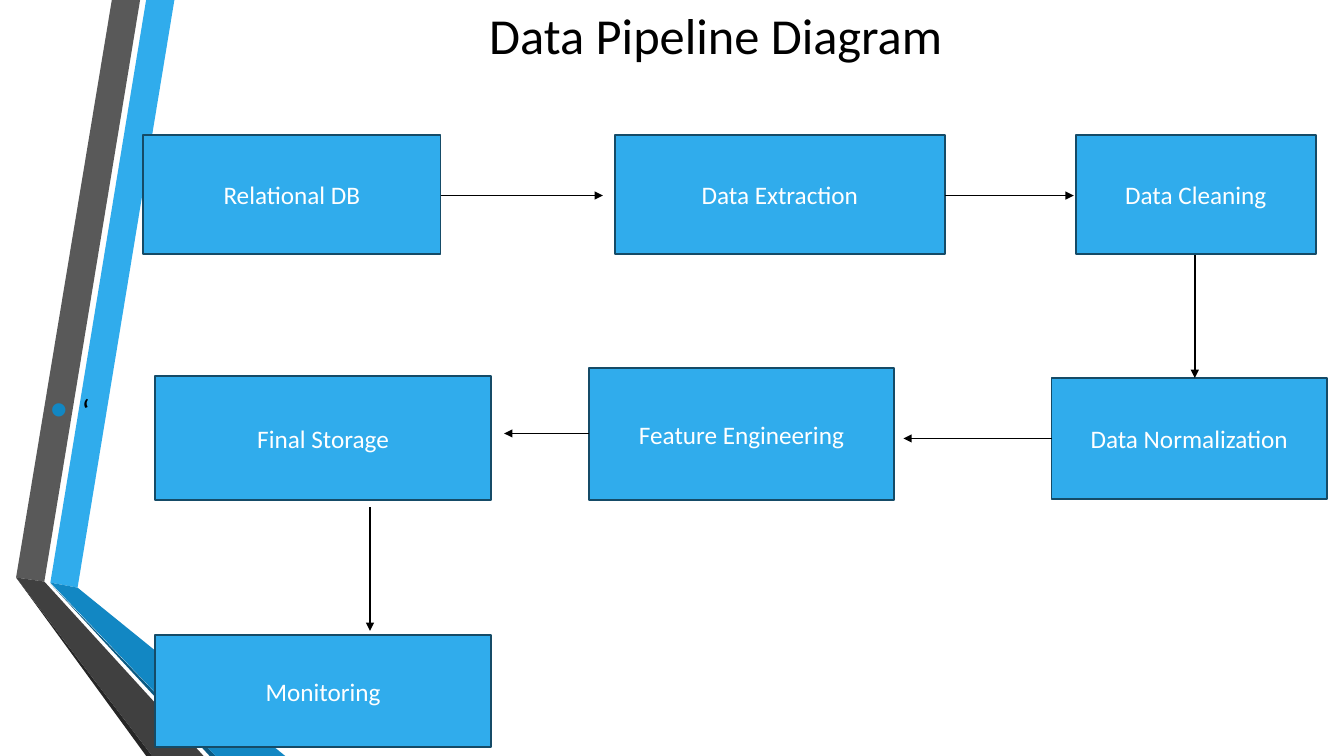
from dataclasses import dataclass

import lxml.etree
import pptx
import pptx.dml.color
import pptx.enum.shapes
import pptx.enum.text
import pptx.oxml.ns
import pptx.presentation
import pptx.shapes.base
import pptx.slide
import pptx.text.text
import pptx.util

Inches = pptx.util.Inches
FONT = "Calibri"
COLORS = {
    "blue": "30ACEC",
    "mid_blue": "1287C3",
    "deep_blue": "0C5A82",
    "box_border": "154B67",
    "gray": "595959",
    "dark_gray": "404040",
    "darkest_gray": "262626",
    "black": "000000",
    "white": "FFFFFF",
}


@dataclass(frozen=True)
class Band:
    color: str
    points: tuple[tuple[float, float], ...]


@dataclass(frozen=True)
class Stage:
    label: str
    left: float
    top: float
    width: float
    height: float


@dataclass(frozen=True)
class Arrow:
    start: tuple[float, float]
    end: tuple[float, float]


BANDS = (
    Band("blue", ((0.5, 5.78), (0.77, 5.83), (1.73, 0), (1.45, 0))),
    Band("gray", ((1.39, 0), (1.11, 0), (0.16, 5.73), (0.44, 5.77))),
    Band("darkest_gray", ((0.16, 5.73), (1.45, 7.5), (1.51, 7.5))),
    Band("deep_blue", ((0.5, 5.79), (2.08, 7.5), (2.14, 7.5))),
    Band("mid_blue", ((0.5, 5.78), (2.14, 7.5), (2.83, 7.5), (0.77, 5.83))),
    Band("dark_gray", ((2.02, 7.5), (0.44, 5.77), (0.16, 5.73), (1.51, 7.5))),
)
STAGES = (
    Stage("Relational DB", 1.42, 1.34, 2.95, 1.18),
    Stage("Data Extraction", 6.1, 1.34, 3.27, 1.18),
    Stage("Data Cleaning", 10.67, 1.34, 2.38, 1.18),
    Stage("Data Normalization", 10.43, 3.75, 2.73, 1.2),
    Stage("Feature Engineering", 5.84, 3.65, 3.03, 1.31),
    Stage("Final Storage", 1.54, 3.73, 3.33, 1.23),
    Stage("Monitoring", 1.54, 6.3, 3.33, 1.11),
)
ARROWS = (
    Arrow((4.37, 1.94), (5.98, 1.94)),
    Arrow((9.37, 1.94), (10.65, 1.94)),
    Arrow((11.85, 2.53), (11.85, 3.75)),
    Arrow((10.43, 4.35), (8.96, 4.35)),
    Arrow((5.84, 4.3), (5, 4.3)),
    Arrow((3.67, 5.03), (3.67, 6.26)),
)


def rgb(name: str) -> pptx.dml.color.RGBColor:
    return pptx.dml.color.RGBColor.from_string(COLORS[name])


def add_child(parent: lxml.etree._Element, tag: str, **attributes: str) -> lxml.etree._Element:
    return lxml.etree.SubElement(parent, pptx.oxml.ns.qn(tag), attributes)


def place(shape: pptx.shapes.base.BaseShape, left: float, top: float, width: float, height: float) -> None:
    shape.left, shape.top = Inches(left), Inches(top)
    shape.width, shape.height = Inches(width), Inches(height)


def write(
    frame: pptx.text.text.TextFrame, text: str, size: int, color: str, centered: bool = True
) -> pptx.text.text._Paragraph:
    frame.text = text
    frame.word_wrap = True
    frame.auto_size = pptx.enum.text.MSO_AUTO_SIZE.NONE
    frame.vertical_anchor = pptx.enum.text.MSO_ANCHOR.MIDDLE
    para = frame.paragraphs[0]
    alignment = pptx.enum.text.PP_ALIGN
    para.alignment = alignment.CENTER if centered else alignment.LEFT
    font = para.runs[0].font
    font.name, font.size = FONT, pptx.util.Pt(size)
    font.color.rgb = rgb(color)
    return para


def draw_band(page: pptx.slide.Slide, band: Band) -> None:
    corners = [(Inches(x), Inches(y)) for x, y in band.points]
    builder = page.shapes.build_freeform(*corners[0])
    builder.add_line_segments(corners[1:], close=True)
    shape = builder.convert_to_shape()
    shape.shadow.inherit = False
    shape.fill.solid()
    shape.fill.fore_color.rgb = rgb(band.color)
    shape.line.fill.background()


def fill_placeholders(page: pptx.slide.Slide) -> None:
    title, body = page.shapes.title, page.placeholders[1]
    # Bring both in front of the bands
    for holder in (title, body):
        holder.element.getparent().append(holder.element)

    place(title, 1.62, 0.12, 10.96, 0.45)
    write(title.text_frame, "Data Pipeline Diagram", 36, "black")

    place(body, 0.4, 0.72, 12.76, 6.69)
    para = write(body.text_frame, "‘", 24, "black", centered=False)
    para.space_after = pptx.util.Pt(6)
    properties = para._p.get_or_add_pPr()
    properties.set("marL", str(Inches(0.31)))
    properties.set("indent", str(Inches(-0.31)))
    bullet_color = add_child(properties, "a:buClr")
    add_child(bullet_color, "a:srgbClr", val=COLORS["mid_blue"])
    add_child(properties, "a:buSzPct", val="145000")
    add_child(properties, "a:buFont", typeface="Arial")
    add_child(properties, "a:buChar", char="•")


def draw_stage(page: pptx.slide.Slide, stage: Stage) -> None:
    box = page.shapes.add_shape(
        pptx.enum.shapes.MSO_SHAPE.RECTANGLE,
        Inches(stage.left), Inches(stage.top), Inches(stage.width), Inches(stage.height),
    )
    box.shadow.inherit = False
    box.fill.solid()
    box.fill.fore_color.rgb = rgb("blue")
    box.line.color.rgb = rgb("box_border")
    box.line.width = pptx.util.Pt(1.25)
    write(box.text_frame, stage.label, 18, "white")


def draw_arrow(page: pptx.slide.Slide, arrow: Arrow) -> None:
    (x1, y1), (x2, y2) = arrow.start, arrow.end
    connector = page.shapes.add_connector(
        pptx.enum.shapes.MSO_CONNECTOR.STRAIGHT, Inches(x1), Inches(y1), Inches(x2), Inches(y2)
    )
    connector.line.color.rgb = rgb("black")
    connector.line.width = pptx.util.Pt(1.25)
    properties = connector.element.spPr
    add_child(properties.find(pptx.oxml.ns.qn("a:ln")), "a:tailEnd", type="triangle")
    add_child(properties, "a:effectLst")


def main() -> None:
    deck = pptx.Presentation()
    deck.slide_width, deck.slide_height = Inches(13.33), Inches(7.5)
    page = deck.slides.add_slide(deck.slide_layouts[1])

    # Folded bands on the left edge
    for band in BANDS:
        draw_band(page, band)
    # Title and bullet
    fill_placeholders(page)
    # Pipeline
    for stage in STAGES:
        draw_stage(page, stage)
    for arrow in ARROWS:
        draw_arrow(page, arrow)

    deck.save("out.pptx")


if __name__ == "__main__":
    main()
